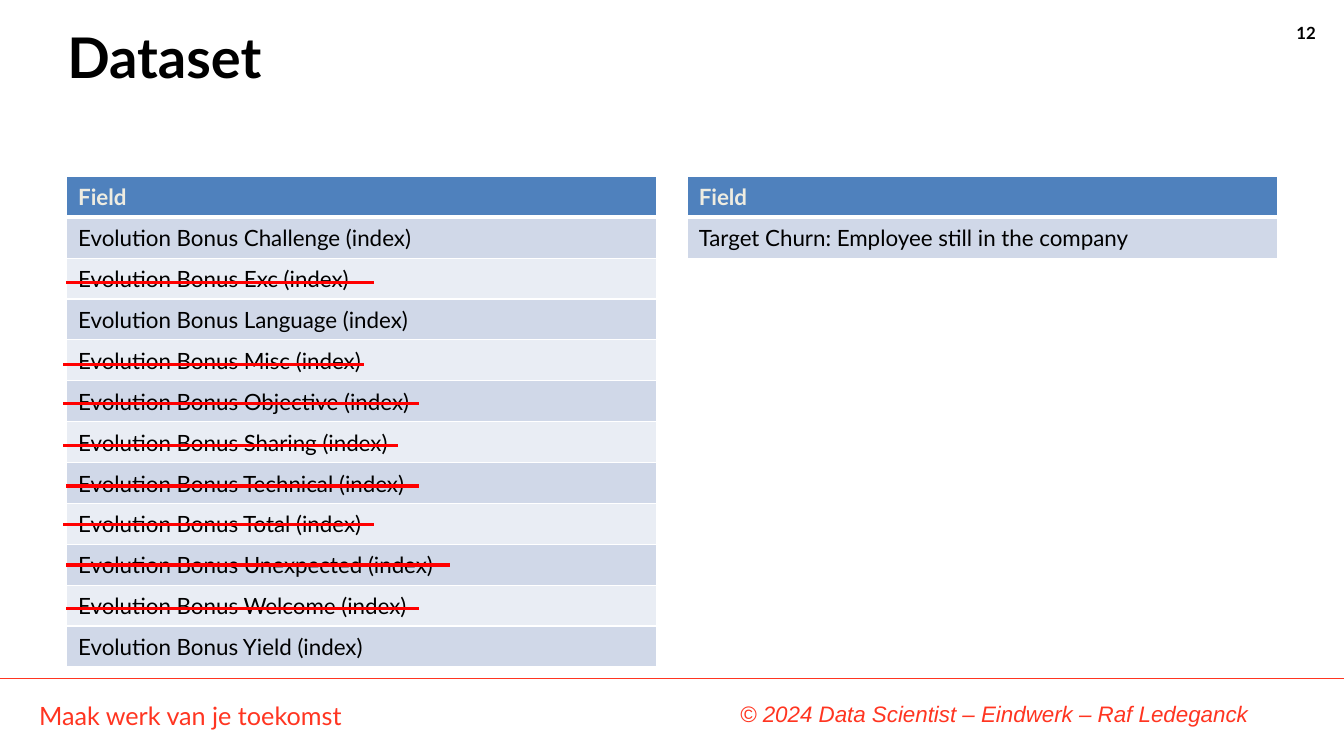
from lxml import etree
from pptx import Presentation
from pptx.dml.color import RGBColor
from pptx.enum.shapes import MSO_CONNECTOR as CONN
from pptx.enum.text import MSO_ANCHOR as ANCHOR, PP_ALIGN as ALIGN
from pptx.oxml.ns import qn
from pptx.util import Pt

COLORS = {
    "black": "000000", "white": "FFFFFF", "brand": "FF3521", "strike": "FF0000",
    "header": "4F81BD", "header_text": "EEECE1", "odd": "D0D8E8", "even": "E9EDF4",
}
SLIDE_W, SLIDE_H = 960.48, 540
ROW_H = 29.22
TABLE_W = 421.9

BONUSES = ["Challenge", "Exc", "Language", "Misc", "Objective", "Sharing",
           "Technical", "Total", "Unexpected", "Welcome", "Yield"]
# Dropped bonus: start and end from the table's left edge, offset below the row's middle
STRIKES = {
    "Exc": (0, 219.6, 2.5), "Misc": (-2.2, 212.4, 3), "Objective": (-2.2, 252, 1.5),
    "Sharing": (-2.2, 237, 2), "Technical": (0, 252, 2), "Total": (-2.2, 219.6, 0.5),
    "Unexpected": (0, 274.3, 0), "Welcome": (0, 252, 2),
}


def rgb(name):
    return RGBColor.from_string(COLORS[name])


def add_run(p, text, size, color, font="Lato", bold=False, italic=False):
    r = p.add_run()
    r.text = text
    f = r.font
    f.name, f.size, f.bold, f.italic = font, Pt(size), bold, italic
    f.color.rgb = rgb(color)


def add_label(slide, box, text, size, color, align=ALIGN.LEFT, **style):
    tf = slide.shapes.add_textbox(*map(Pt, box)).text_frame
    tf.word_wrap = True
    p = tf.paragraphs[0]
    p.alignment = align
    add_run(p, text, size, color, **style)


def add_line(slide, x1, x2, y, color, width):
    line = slide.shapes.add_connector(CONN.STRAIGHT, Pt(x1), Pt(y), Pt(x2), Pt(y))
    line.line.color.rgb = rgb(color)
    line.line.width = Pt(width)
    etree.SubElement(line._element.spPr, qn("a:effectLst"))


def set_borders(cell, top, bottom):
    tc_pr = cell._tc.get_or_add_tcPr()
    for side, width in (("L", 1), ("R", 1), ("T", top), ("B", bottom)):
        ln = etree.SubElement(tc_pr, qn(f"a:ln{side}"), w=str(Pt(width)))
        fill = etree.SubElement(ln, qn("a:solidFill"))
        etree.SubElement(fill, qn("a:srgbClr"), val=COLORS["white"])


def add_field_table(slide, left, top, fields):
    rows = ["Field", *fields]
    table = slide.shapes.add_table(len(rows), 1, Pt(left), Pt(top), Pt(TABLE_W),
                                   Pt(ROW_H * len(rows))).table
    for i, text in enumerate(rows):
        table.rows[i].height = Pt(ROW_H)
        cell = table.cell(i, 0)
        cell.vertical_anchor = ANCHOR.MIDDLE
        cell.margin_left, cell.margin_right = Pt(8.4), Pt(0.7)
        cell.margin_top, cell.margin_bottom = Pt(0.7), Pt(0)
        set_borders(cell, 3 if i == 1 else 1, 3 if i == 0 else 1)
        cell.fill.solid()
        cell.fill.fore_color.rgb = rgb("header" if i == 0 else "odd" if i % 2 else "even")
        add_run(cell.text_frame.paragraphs[0], text, 16,
                "black" if i else "header_text", bold=i == 0)


def add_strikes(slide, left, top):
    for name, (start, end, drop) in STRIKES.items():
        row = BONUSES.index(name) + 1
        y = top + ROW_H * (row + 0.5) + drop
        add_line(slide, left + start, left + end, y, "strike", 2.25)


def add_title(slide, box, text):
    title = slide.shapes.title
    title.left, title.top, title.width, title.height = map(Pt, box)
    tf = title.text_frame
    tf.margin_left = tf.margin_top = tf.margin_right = tf.margin_bottom = 0
    tf.vertical_anchor = ANCHOR.TOP
    p = tf.paragraphs[0]
    p.alignment, p.line_spacing = ALIGN.LEFT, 0.9
    add_run(p, text, 40, "black", bold=True)


def add_footer(slide, top):
    add_line(slide, 0, SLIDE_W, top, "brand", 0.75)
    add_label(slide, (20.9, top + 12.2, 612, 28.8), "Maak werk van je toekomst", 18, "brand")
    add_label(slide, (275, top + 12.2, 624.2, 25.2),
              "© 2024 Data Scientist – Eindwerk – Raf Ledeganck", 16, "brand",
              ALIGN.RIGHT, font="Arial", italic=True)


def main():
    prs = Presentation()
    prs.slide_width, prs.slide_height = Pt(SLIDE_W), Pt(SLIDE_H)
    slide = prs.slides.add_slide(prs.slide_layouts[5])

    # Frame: footer, page number and title
    add_footer(slide, 484.6)
    add_label(slide, (912.2, 13, 35.3, 21.6), "12", 12, "black", ALIGN.RIGHT, bold=True)
    add_title(slide, (48.2, 21.6, 864, 90), "Dataset")

    # Field tables, with the dropped fields struck out
    left, top = 47.5, 126
    add_field_table(slide, left, top, [f"Evolution Bonus {b} (index)" for b in BONUSES])
    add_field_table(slide, 491, top, ["Target Churn: Employee still in the company"])
    add_strikes(slide, left, top)

    prs.save("out.pptx")


if __name__ == "__main__":
    main()
